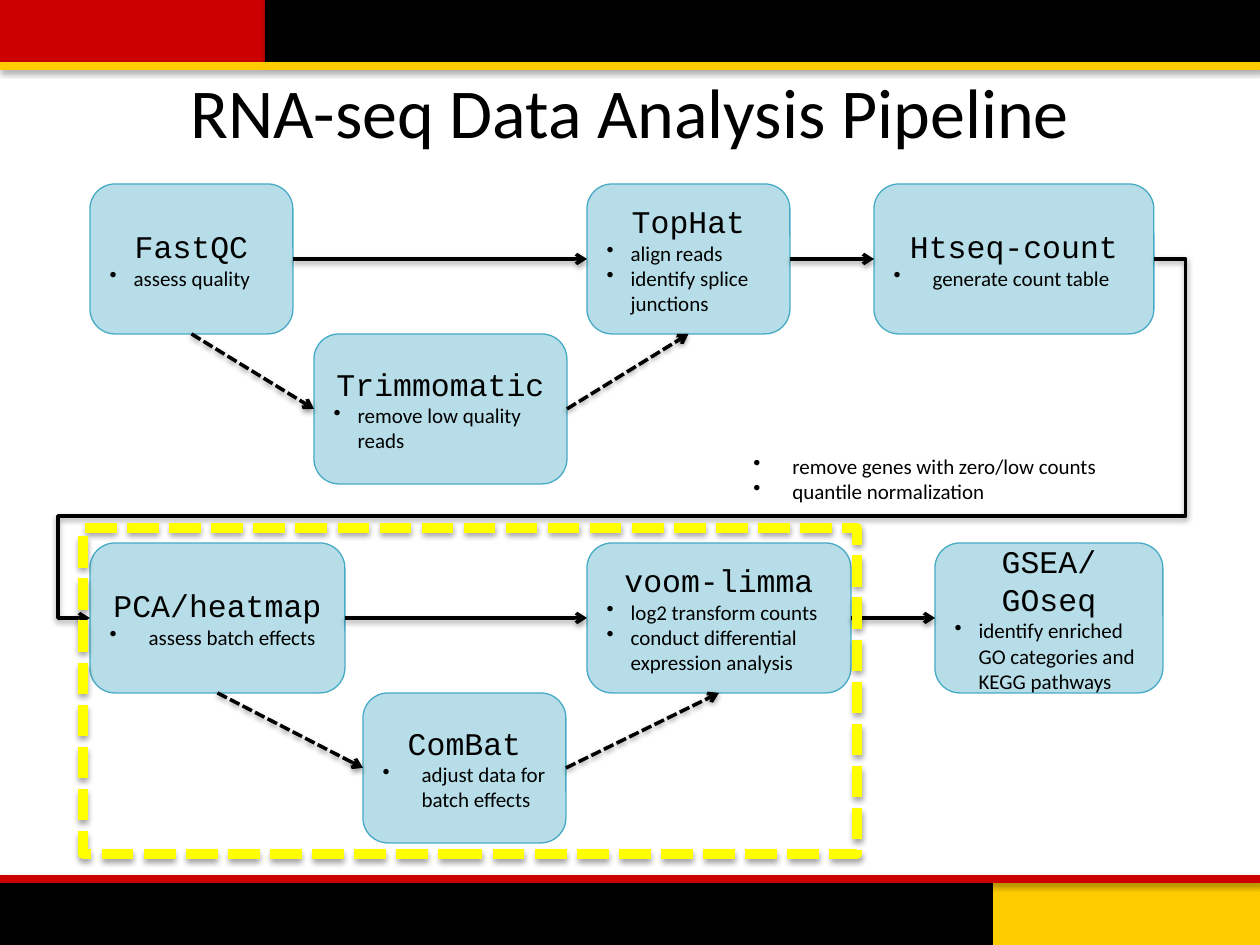
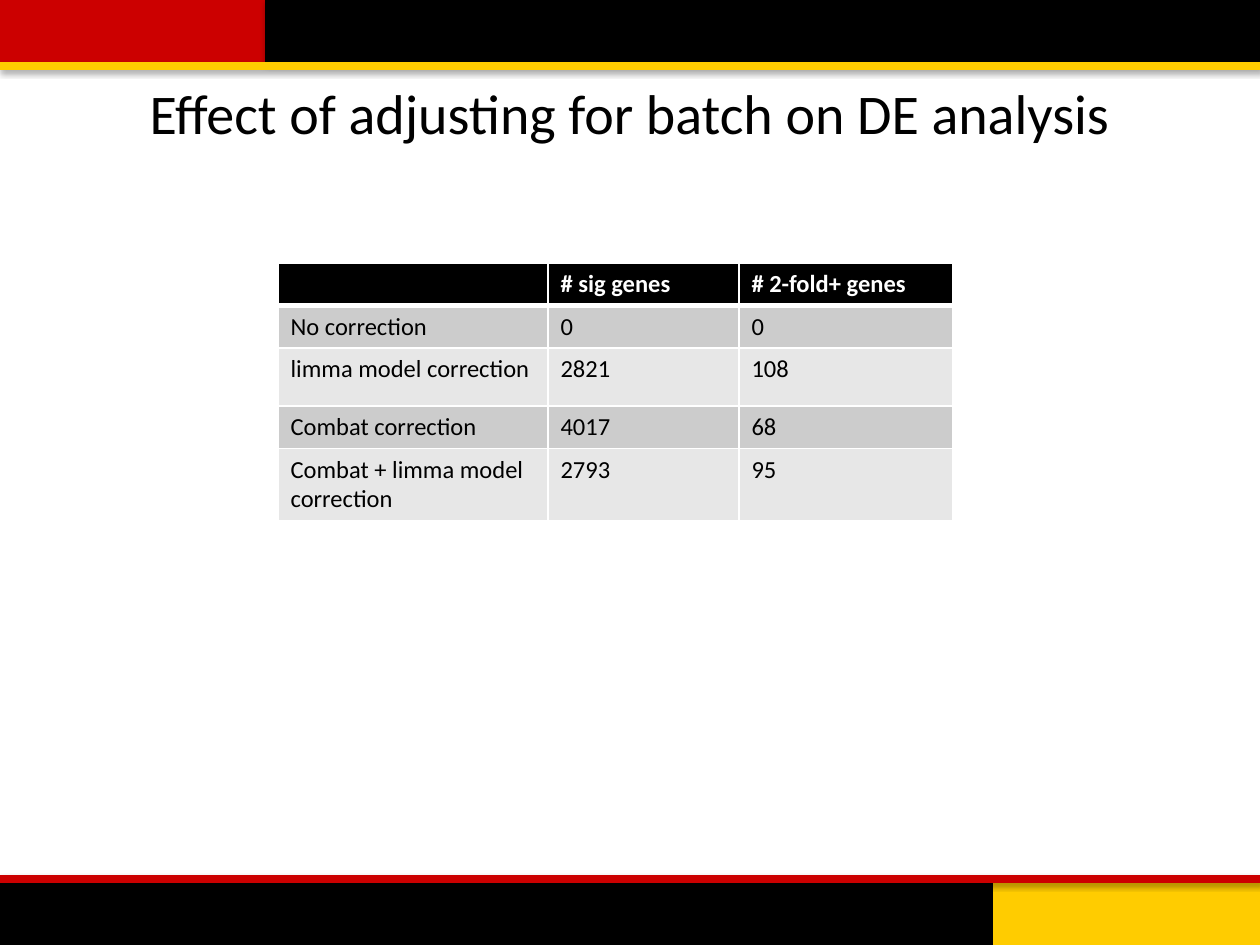
from dataclasses import dataclass

from pptx import Presentation
from pptx.dml.color import RGBColor
from pptx.enum.dml import MSO_LINE
from pptx.enum.shapes import MSO_CONNECTOR, MSO_SHAPE
from pptx.enum.text import MSO_ANCHOR, MSO_AUTO_SIZE, PP_ALIGN
from pptx.oxml import parse_xml
from pptx.oxml.ns import nsdecls, qn
from pptx.util import Pt

PX = 7257  # EMU, 126 px to the inch
RECT, ROUNDED = MSO_SHAPE.RECTANGLE, MSO_SHAPE.ROUNDED_RECTANGLE
STRAIGHT, ELBOW = MSO_CONNECTOR.STRAIGHT, MSO_CONNECTOR.ELBOW
CENTER, LEFT_ALIGN = PP_ALIGN.CENTER, PP_ALIGN.LEFT
MIDDLE = MSO_ANCHOR.MIDDLE
DASHED = MSO_LINE.SQUARE_DOT
TOP, LEFT, BOTTOM, RIGHT = range(4)


@dataclass(frozen=True)
class Theme:
    black = RGBColor.from_string("000000")
    white = RGBColor.from_string("FFFFFF")
    red = RGBColor.from_string("CC0000")
    gold = RGBColor.from_string("FFCC00")
    box_fill = RGBColor.from_string("B7DEE8")
    box_line = RGBColor.from_string("46AAC5")
    highlight = RGBColor.from_string("FFFF00")
    dark_row = RGBColor.from_string("CCCCCC")
    light_row = RGBColor.from_string("E7E7E7")
    text_font = "Calibri"
    tool_font = "Courier New"
    tool_size = 18
    list_size = 12
    table_size = 14


theme = Theme()


def write(para, text, size, font=theme.text_font, color=theme.black, bold=False, indent=0):
    """Add one run to para; an indent in px makes the paragraph a bullet."""
    span = para.add_run()
    span.text = text
    span.font.size, span.font.name = Pt(size), font
    span.font.color.rgb, span.font.bold = color, bold
    if indent:
        para.alignment = LEFT_ALIGN
        properties = para._p.get_or_add_pPr()
        properties.set("marL", str(indent * PX))
        properties.set("indent", str(-indent * PX))
        properties.append(parse_xml(f'<a:buChar {nsdecls("a")} char="•"/>'))


def cast_shadow(shape, opacity=35, distance=23000):
    """Give shape a soft shadow below it; its fill and line must be set first."""
    shape.element.spPr.append(parse_xml(
        f'<a:effectLst {nsdecls("a")}><a:outerShdw blurRad="40000" dist="{distance}" '
        f'dir="5400000" rotWithShape="0"><a:srgbClr val="000000">'
        f'<a:alpha val="{opacity * 1000}"/></a:srgbClr></a:outerShdw></a:effectLst>'))


deck = Presentation()
deck.slide_width, deck.slide_height = 1260 * PX, 945 * PX
title_only = deck.slide_layouts[5]

# Titles
slides = []
for text, size, top, height in [
    ("RNA-seq Data Analysis Pipeline", 40, 32, 157),
    ("Effect of adjusting for batch on DE analysis", 32, 69, 87),
]:
    page = deck.slides.add_slide(title_only)
    title = page.shapes.title
    title.left, title.top, title.width, title.height = 63 * PX, top * PX, 1134 * PX, height * PX
    title.text_frame.vertical_anchor = MIDDLE
    title.text_frame.paragraphs[0].alignment = CENTER
    write(title.text_frame.paragraphs[0], text, size)
    slides.append(page)
pipeline, results = slides

# Bands, moved to the master so that both slides share them
master_tree = deck.slide_master.element.cSld.spTree
for position, (left, top, width, height, color) in enumerate([
    (0, 0, 266, 62, theme.red),
    (266, 0, 994, 62, theme.black),
    (0, 883, 994, 62, theme.black),
    (994, 883, 266, 62, theme.gold),
    (0, 876, 1260, 6, theme.red),
    (0, 63, 1260, 6, theme.gold),
]):
    band = pipeline.shapes.add_shape(RECT, left * PX, top * PX, width * PX, height * PX)
    band.fill.solid()
    band.fill.fore_color.rgb = color
    band.line.color.rgb = color
    band.line.width = Pt(0.75)
    cast_shadow(band)
    master_tree.insert(2 + position, band.element)

# Pipeline steps: tool, left, top, width, bullet indent, tasks
BOX_HEIGHT = 150
FIRST_ROW, SECOND_ROW = 184, 543
NARROW, WIDE = 24, 39
boxes = {}
for tool, left, top, width, indent, tasks in [
    ("FastQC", 90, FIRST_ROW, 203, NARROW, ["assess quality"]),
    ("TopHat", 587, FIRST_ROW, 203, NARROW, ["align reads", "identify splice junctions"]),
    ("Htseq-count", 874, FIRST_ROW, 280, WIDE, ["generate count table"]),
    ("Trimmomatic", 314, FIRST_ROW + BOX_HEIGHT, 253, NARROW, ["remove low quality reads"]),
    ("PCA/heatmap", 90, SECOND_ROW, 255, WIDE, ["assess batch effects"]),
    ("voom-limma", 587, SECOND_ROW, 264, NARROW,
     ["log2 transform counts", "conduct differential expression analysis"]),
    ("GSEA/GOseq", 935, SECOND_ROW, 228, NARROW,
     ["identify enriched GO categories and KEGG pathways"]),
    ("ComBat", 363, SECOND_ROW + BOX_HEIGHT, 203, WIDE, ["adjust data for batch effects"]),
]:
    box = pipeline.shapes.add_shape(ROUNDED, left * PX, top * PX, width * PX, BOX_HEIGHT * PX)
    box.shadow.inherit = False
    box.fill.solid()
    box.fill.fore_color.rgb = theme.box_fill
    box.line.color.rgb = theme.box_line
    box.line.width = Pt(0.75)
    frame = box.text_frame
    frame.word_wrap, frame.vertical_anchor = True, MIDDLE
    frame.paragraphs[0].alignment = CENTER
    write(frame.paragraphs[0], tool, theme.tool_size, font=theme.tool_font)
    for task in tasks:
        write(frame.add_paragraph(), task, theme.list_size, indent=indent)
    boxes[tool] = box

# Arrows: solid for the main path, dashed for optional steps
arrows = []
for start, start_side, end, end_side in [
    ("FastQC", RIGHT, "TopHat", LEFT),
    ("TopHat", RIGHT, "Htseq-count", LEFT),
    ("PCA/heatmap", RIGHT, "voom-limma", LEFT),
    ("voom-limma", RIGHT, "GSEA/GOseq", LEFT),
    ("FastQC", BOTTOM, "Trimmomatic", LEFT),
    ("Trimmomatic", RIGHT, "TopHat", BOTTOM),
    ("PCA/heatmap", BOTTOM, "ComBat", LEFT),
    ("ComBat", RIGHT, "voom-limma", BOTTOM),
]:
    arrow = pipeline.shapes.add_connector(STRAIGHT, 0, 0, 0, 0)
    arrow.begin_connect(boxes[start], start_side)
    arrow.end_connect(boxes[end], end_side)
    if BOTTOM in (start_side, end_side):
        arrow.line.dash_style = DASHED
    arrows.append(arrow)

# Five-part arrow from the end of the first row to the start of the second
from_x, to_x = 1154, 90
from_y, to_y = FIRST_ROW + BOX_HEIGHT // 2, SECOND_ROW + BOX_HEIGHT // 2
right_x, middle_y, left_x = 1186, 516, 58
wrap_arrow = pipeline.shapes.add_connector(ELBOW, from_x * PX, from_y * PX, to_x * PX, to_y * PX)
geometry = wrap_arrow.element.spPr.find(qn("a:prstGeom"))
geometry.set("prst", "bentConnector5")
guides = geometry.find(qn("a:avLst"))
for number, ratio in enumerate([
    (from_x - right_x) / (from_x - to_x),
    (middle_y - from_y) / (to_y - from_y),
    (from_x - left_x) / (from_x - to_x),
], start=1):
    guides.append(parse_xml(
        f'<a:gd {nsdecls("a")} name="adj{number}" fmla="val {round(ratio * 100000)}"/>'))
arrows.append(wrap_arrow)

for arrow in arrows:
    arrow.line.color.rgb = theme.black
    arrow.line.width = Pt(2)
    outline = arrow.element.spPr.find(qn("a:ln"))
    outline.append(parse_xml(f'<a:tailEnd {nsdecls("a")} type="arrow"/>'))
    cast_shadow(arrow, opacity=38, distance=20000)

# Filtering note
note = pipeline.shapes.add_textbox(741 * PX, 447 * PX, 397 * PX, 63 * PX).text_frame
note.word_wrap, note.auto_size = True, MSO_AUTO_SIZE.SHAPE_TO_FIT_TEXT
write(note.paragraphs[0], "remove genes with zero/low counts", theme.list_size, indent=WIDE)
write(note.add_paragraph(), "quantile normalization", theme.list_size, indent=WIDE)

# Frame around the batch steps
batch_frame = pipeline.shapes.add_shape(RECT, 83 * PX, 528 * PX, 774 * PX, 326 * PX)
batch_frame.fill.background()
batch_frame.line.color.rgb = theme.highlight
batch_frame.line.width = Pt(6)
batch_frame.line.dash_style = DASHED
cast_shadow(batch_frame)

# Table of gene counts
rows = [
    ("", "# sig genes", "# 2-fold+ genes"),
    ("No correction", "0", "0"),
    ("limma model correction", "2821", "108"),
    ("Combat correction", "4017", "68"),
    ("Combat + limma model correction", "2793", "95"),
]
column_widths = [270, 191, 214]
row_heights = [42, 42, 58, 42, 72]
table = results.shapes.add_table(
    len(rows), len(column_widths), 278 * PX, 263 * PX,
    sum(column_widths) * PX, sum(row_heights) * PX).table
for column, width in zip(table.columns, column_widths):
    column.width = width * PX
for row, height in zip(table.rows, row_heights):
    row.height = height * PX

for row_number, row in enumerate(rows):
    header = row_number == 0
    if header:
        row_fill = theme.black
    else:
        row_fill = theme.dark_row if row_number % 2 else theme.light_row
    borders = {"L": 1, "R": 1, "T": 3 if row_number == 1 else 1, "B": 3 if header else 1}
    for column_number, text in enumerate(row):
        cell = table.cell(row_number, column_number)
        cell.fill.solid()
        cell.fill.fore_color.rgb = row_fill
        para = cell.text_frame.paragraphs[0]
        if text:
            write(para, text, theme.table_size, bold=header,
                  color=theme.white if header else theme.black)
        else:
            para._p.append(parse_xml(
                f'<a:endParaRPr {nsdecls("a")} sz="{theme.table_size * 100}"/>'))
        cell_properties = cell._tc.get_or_add_tcPr()
        for position, (side, points) in enumerate(borders.items()):
            cell_properties.insert(position, parse_xml(
                f'<a:ln{side} {nsdecls("a")} w="{Pt(points)}"><a:solidFill>'
                f'<a:srgbClr val="{theme.white}"/></a:solidFill></a:ln{side}>'))

deck.save("out.pptx")
